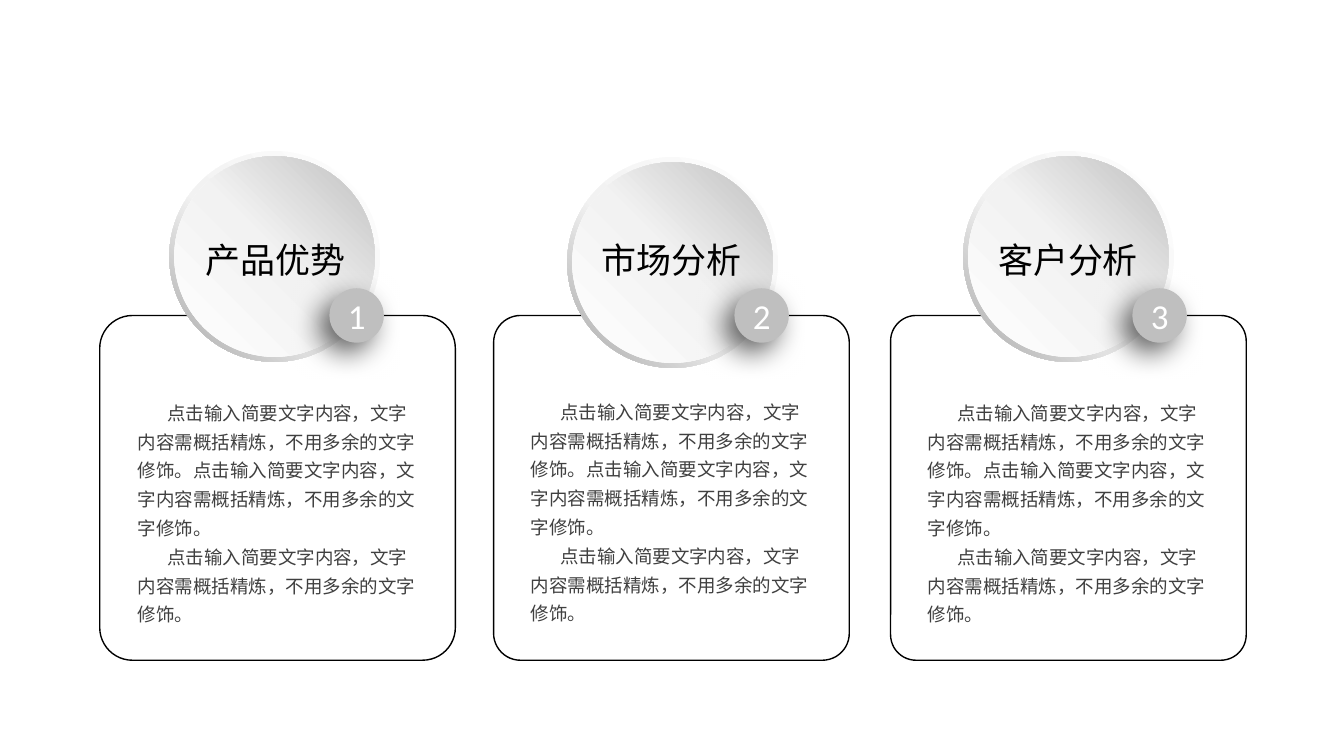
from dataclasses import dataclass

from lxml.etree import SubElement
from pptx import Presentation
from pptx.dml.color import RGBColor
from pptx.enum.shapes import MSO_SHAPE
from pptx.enum.text import MSO_ANCHOR, MSO_AUTO_SIZE, PP_ALIGN
from pptx.oxml.ns import qn
from pptx.util import Inches, Pt

SLIDE_WIDTH, SLIDE_HEIGHT = Inches(13.34), Inches(7.5)
GRID_COLUMNS, GRID_ROWS = 1334, 750


@dataclass(frozen=True)
class Theme:
    outline: str = "000000"
    label: str = "000000"
    body: str = "404040"
    badge: str = "BFBFBF"
    badge_text: str = "FFFFFF"
    shadow: str = "000000"
    ring_stops: tuple = ((0, "FFFFFF"), (55, "F2F2F2"), (100, "A6A6A6"))
    disc_stops: tuple = ((0, "FFFFFF"), (51, "F2F2F2"), (100, "BFBFBF"))
    chinese_font: str = "Noto Sans CJK SC"
    number_font: str = "Calibri"
    heading_size: float = 25
    body_size: float = 13.2


@dataclass(frozen=True)
class Card:
    label: str
    left: int
    corner: float
    ring_left: int
    ring_top: int
    badge_left: int
    label_left: int
    body_left: int
    body_top: int


THEME = Theme()
CARDS = (
    Card("产品优势", 99, 0.095, 168, 150, 327, 194, 137, 392),
    Card("市场分析", 490, 0.078, 563, 156, 729, 587, 527, 391),
    Card("客户分析", 884, 0.074, 956, 150, 1124, 981, 921, 392),
)
SENTENCE = "点击输入简要文字内容，文字内容需概括精炼，不用多余的文字修饰。"
PARAGRAPHS = (SENTENCE * 2, SENTENCE)


def grid_box(left, top, width, height):
    column, row = SLIDE_WIDTH / GRID_COLUMNS, SLIDE_HEIGHT / GRID_ROWS
    return [round(n * unit) for n, unit in zip((left, top, width, height), (column, row) * 2)]


def format_runs(paragraph, font_name, size, color):
    for run in paragraph.runs:
        run.font.name = font_name
        run.font.size = Pt(size)
        run.font.color.rgb = RGBColor.from_string(color)
        east_asian = SubElement(run.font._element, qn("a:ea"))
        east_asian.set("typeface", font_name)


def add_plain_shape(shapes, kind, box, adjustment=None):
    shape = shapes.add_shape(kind, *grid_box(*box))
    shape.shadow.inherit = False
    shape.line.fill.background()
    if adjustment is not None:
        shape.adjustments[0] = adjustment
    return shape


def add_frame(slide, card):
    frame = add_plain_shape(
        slide.shapes, MSO_SHAPE.ROUNDED_RECTANGLE, (card.left, 313, 353, 342), card.corner)
    frame.fill.background()
    frame.line.color.rgb = RGBColor.from_string(THEME.outline)
    frame.line.width = Pt(1)


def fill_gradient(shape, stops, clockwise_angle):
    shape.fill.gradient()
    shape.fill.gradient_angle = 360 - clockwise_angle
    stop_list = shape._element.spPr.find(qn("a:gradFill")).find(qn("a:gsLst"))
    for old_stop in list(stop_list):
        stop_list.remove(old_stop)
    for position, color in stops:
        stop = SubElement(stop_list, qn("a:gs"), pos=str(position * 1000))
        SubElement(stop, qn("a:srgbClr"), val=color)


def add_medallion(slide, card):
    group = slide.shapes.add_group_shape()
    ring = add_plain_shape(
        group.shapes, MSO_SHAPE.DONUT, (card.ring_left, card.ring_top, 209, 209), 0.049)
    fill_gradient(ring, THEME.ring_stops, 135)
    disc = add_plain_shape(
        group.shapes, MSO_SHAPE.OVAL, (card.ring_left + 5, card.ring_top + 5, 199, 199))
    fill_gradient(disc, THEME.disc_stops, 315)


def add_shadow(shape):
    effects = shape._element.spPr.find(qn("a:effectLst"))
    shadow = SubElement(
        effects, qn("a:outerShdw"), blurRad=str(Pt(20)), dist=str(Pt(10)),
        dir=str(135 * 60000), algn="tr", rotWithShape="0")
    color = SubElement(shadow, qn("a:srgbClr"), val=THEME.shadow)
    SubElement(color, qn("a:alpha"), val="60000")


def add_badge(slide, card, number):
    badge = add_plain_shape(slide.shapes, MSO_SHAPE.OVAL, (card.badge_left, 286, 54, 54))
    badge.fill.solid()
    badge.fill.fore_color.rgb = RGBColor.from_string(THEME.badge)
    add_shadow(badge)
    frame = badge.text_frame
    frame.text = str(number)
    frame.word_wrap = False
    frame.vertical_anchor = MSO_ANCHOR.MIDDLE
    paragraph = frame.paragraphs[0]
    paragraph.alignment = PP_ALIGN.CENTER
    format_runs(paragraph, THEME.number_font, THEME.heading_size, THEME.badge_text)


def add_label(slide, card):
    frame = slide.shapes.add_textbox(*grid_box(card.label_left, 232, 160, 52)).text_frame
    frame.text = card.label
    frame.word_wrap = False
    frame.auto_size = MSO_AUTO_SIZE.SHAPE_TO_FIT_TEXT
    format_runs(frame.paragraphs[0], THEME.chinese_font, THEME.heading_size, THEME.label)


def add_body(slide, card):
    box = grid_box(card.body_left, card.body_top, 280, 231)
    frame = slide.shapes.add_textbox(*box).text_frame
    frame.margin_left = frame.margin_right = frame.margin_top = frame.margin_bottom = 0
    frame.word_wrap = True
    frame.auto_size = MSO_AUTO_SIZE.SHAPE_TO_FIT_TEXT
    frame.text = "\n".join(PARAGRAPHS)
    for paragraph in frame.paragraphs:
        paragraph.line_spacing = 1.3
        paragraph._p.get_or_add_pPr().set("indent", str(Inches(0.29)))
        format_runs(paragraph, THEME.chinese_font, THEME.body_size, THEME.body)


def main():
    presentation = Presentation()
    presentation.slide_width, presentation.slide_height = SLIDE_WIDTH, SLIDE_HEIGHT
    slide = presentation.slides.add_slide(presentation.slide_layouts.get_by_name("Blank"))
    for number, card in enumerate(CARDS, start=1):
        add_frame(slide, card)
        add_medallion(slide, card)
        add_badge(slide, card, number)
        add_label(slide, card)
        add_body(slide, card)
    presentation.save("out.pptx")


if __name__ == "__main__":
    main()
